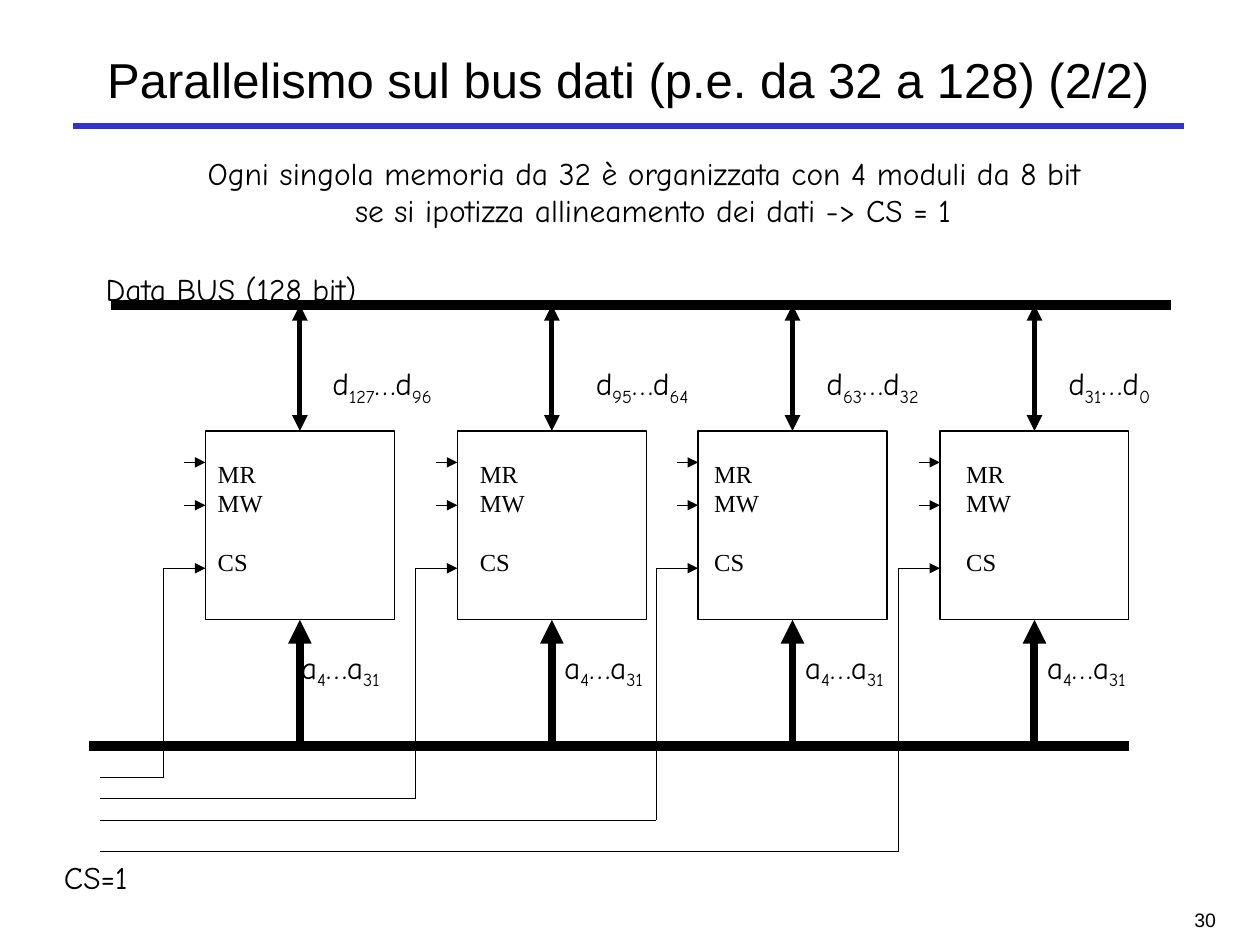
import pptx
import pptx.util
import pptx.dml.color
import pptx.enum.shapes
import pptx.enum.text
import pptx.oxml.ns
import lxml.etree

Inches = pptx.util.Inches
Pt = pptx.util.Pt
ALIGN = pptx.enum.text.PP_ALIGN

THEME = {
    "ink": "000000", "paper": "FFFFFF", "rule": "3333CC",
    "head": "Arial", "body": "Comic Neue", "pin": "Times New Roman",
    "title": 28, "text": 18, "small": 14, "page": 11.1,
    "thin": 0.75, "data": 3, "addr": 4.5, "bus": 6, "bar": 3.75,
}

TITLE = "Parallelismo sul bus dati (p.e. da 32 a 128) (2/2)"
INTRO = ["Ogni singola memoria da 32 è organizzata con 4 moduli da 8 bit",
         "se si ipotizza allineamento dei dati -> CS = 1"]
PINS = ["MR", "MW", "CS"]
ADDR = ("a", "4", "…a", "31")
BANKS = [
    {"left": 1.63, "bits": ("d", "127", "…d", "96"), "bit_x": 2.54,
     "pin_x": 1.63, "addr_x": 2.29, "wire_y": 6.17},
    {"left": 3.63, "bits": ("d", "95", "…d", "64"), "bit_x": 4.63,
     "pin_x": 3.71, "addr_x": 4.38, "wire_y": 6.34},
    {"left": 5.54, "bits": ("d", "63", "…d", "32"), "bit_x": 6.46,
     "pin_x": 5.57, "addr_x": 6.29, "wire_y": 6.51},
    {"left": 7.46, "bits": ("d", "31", "…d", "0"), "bit_x": 8.38,
     "pin_x": 7.57, "addr_x": 8.21, "wire_y": 6.76},
]
SIDE, TOP = 1.5, 3.42
BUS_Y, ADDR_Y = 2.42, 5.92
PIN_YS, CS_Y = (3.67, 4.01), 4.51
STUB, TURN, WIRE_X = 0.17, 0.33, 0.79

deck = pptx.Presentation()
deck.slide_width, deck.slide_height = Inches(10), Inches(7.5)
slide = deck.slides.add_slide(deck.slide_layouts[5])
shapes = slide.shapes


def color(name):
    return pptx.dml.color.RGBColor.from_string(THEME[name])


def write(text, at, font="body", size="text", align=ALIGN.LEFT, wrap=False,
          shape=None, gaps=None, inset=None):
    shape = shape or shapes.add_textbox(0, 0, 0, 0)
    shape.left, shape.top, shape.width, shape.height = map(Inches, at)
    frame = shape.text_frame
    frame.word_wrap = wrap
    for i, part in enumerate([text] if isinstance(text, (str, tuple)) else text):
        para = frame.add_paragraph() if i else frame.paragraphs[0]
        para.alignment = align
        if i in (inset or {}):
            para._p.get_or_add_pPr().set("marL", str(Inches(inset[i])))
        if i in (gaps or {}):
            para.space_before = Pt(gaps[i])
        for j, bit in enumerate((part,) if isinstance(part, str) else part):
            run = para.add_run()
            run.text = bit
            run.font.name = THEME[font]
            run.font.size = Pt(THEME[size])
            run.font.color.rgb = color("ink")
            if j % 2:
                run.font._element.set("baseline", "-25000")
    return shape


def draw(x1, y1, x2, y2, width="thin", tint="ink", ends=()):
    line = shapes.add_connector(pptx.enum.shapes.MSO_CONNECTOR.STRAIGHT,
                                *map(Inches, (x1, y1, x2, y2)))
    line.line.color.rgb = color(tint)
    line.line.width = Pt(THEME[width])
    pen = line.line._get_or_add_ln()
    for end in ends:
        lxml.etree.SubElement(pen, pptx.oxml.ns.qn("a:" + end), type="triangle")
    lxml.etree.SubElement(line._element.spPr, pptx.oxml.ns.qn("a:effectLst"))
    return line


def add_bank(bank):
    left = bank["left"]
    mid, low, turn = left + SIDE / 2, TOP + SIDE, left - TURN
    box = shapes.add_shape(pptx.enum.shapes.MSO_SHAPE.RECTANGLE,
                           *map(Inches, (left, TOP, SIDE, SIDE)))
    box.shadow.inherit = False
    box.fill.solid()
    box.fill.fore_color.rgb = color("paper")
    box.line.color.rgb = color("ink")
    box.line.width = Pt(THEME["thin"])

    draw(mid, BUS_Y, mid, TOP, "data", ends=("headEnd", "tailEnd")).end_connect(box, 0)
    draw(mid, ADDR_Y, mid, low, "addr", ends=("tailEnd",)).end_connect(box, 2)
    for y in PIN_YS:
        draw(left - STUB, y, left, y, ends=("tailEnd",))
    draw(WIRE_X, bank["wire_y"], turn, bank["wire_y"])
    draw(turn, bank["wire_y"], turn, CS_Y)
    draw(turn, CS_Y, left, CS_Y, ends=("tailEnd",))

    write(bank["bits"], (bank["bit_x"], 2.84, 1.25, 0.78), wrap=True)
    write(ADDR, (bank["addr_x"], 5.09, 1, 0.78), wrap=True)
    write(PINS, (bank["pin_x"], 3.59, 0.56, 1.04), font="pin", size="small", gaps={2: 16.8})


def main():
    title = write(TITLE, (0.61, 0.25, 8.75, 0.75), font="head", size="title",
                  align=ALIGN.CENTER, wrap=True, shape=shapes.title)
    title.text_frame.vertical_anchor = pptx.enum.text.MSO_ANCHOR.MIDDLE
    draw(0.58, 1, 9.4, 1, "bar", "rule")
    write(INTRO, (1.55, 1.17, 7.14, 0.7), inset={1: 1.17})
    for bank in BANKS:
        add_bank(bank)
    draw(0.88, BUS_Y, 9.29, BUS_Y, "bus")
    draw(0.71, ADDR_Y, 8.96, ADDR_Y, "bus")
    write("Data BUS (128 bit)", (0.74, 2.09, 2.19, 0.4))
    write("CS=1", (0.41, 6.76, 0.8, 0.4), wrap=True)
    write("30", (7.67, 7.16, 2.08, 0.34), font="head", size="page",
          align=ALIGN.RIGHT, wrap=True)
    deck.save("out.pptx")


if __name__ == "__main__":
    main()
